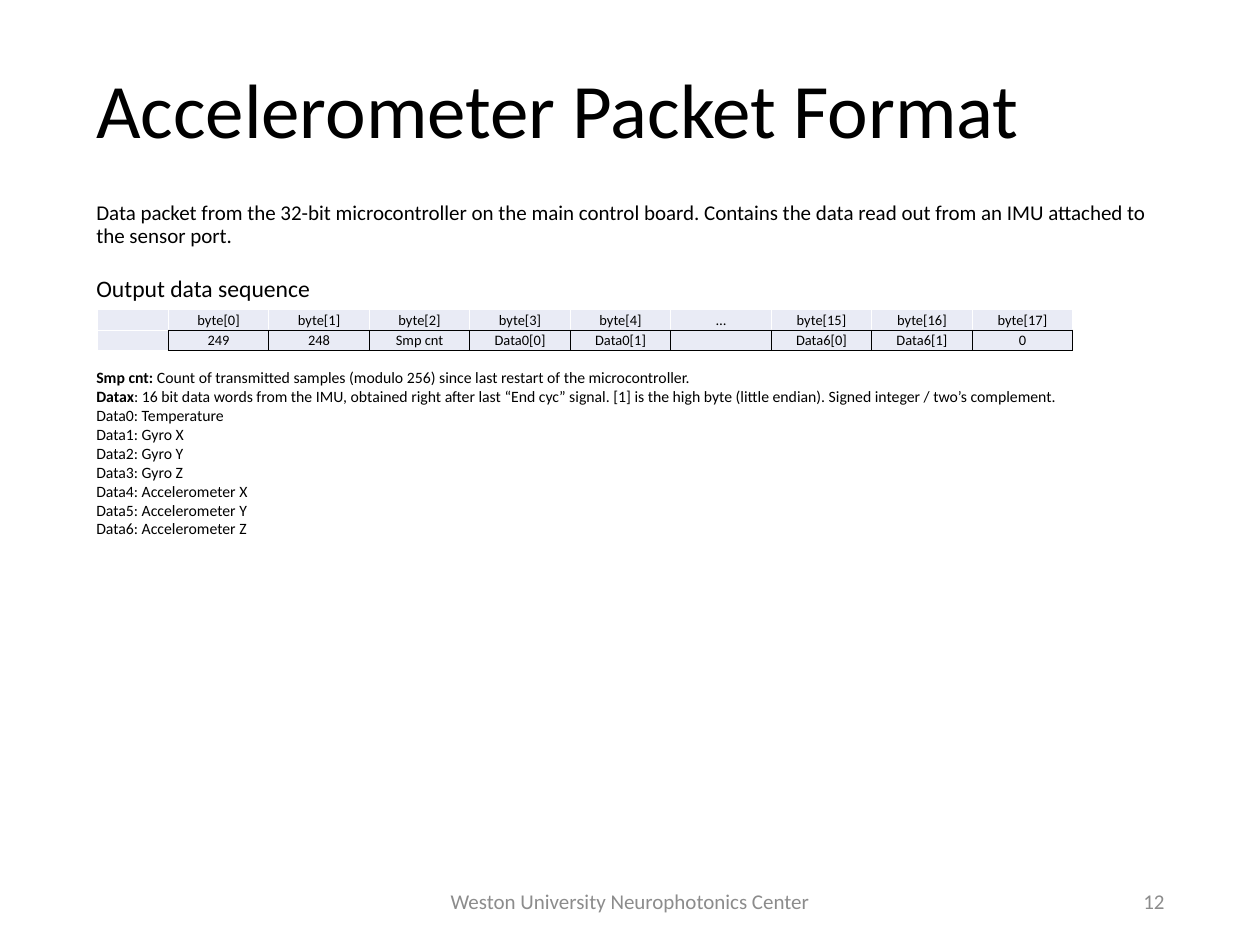
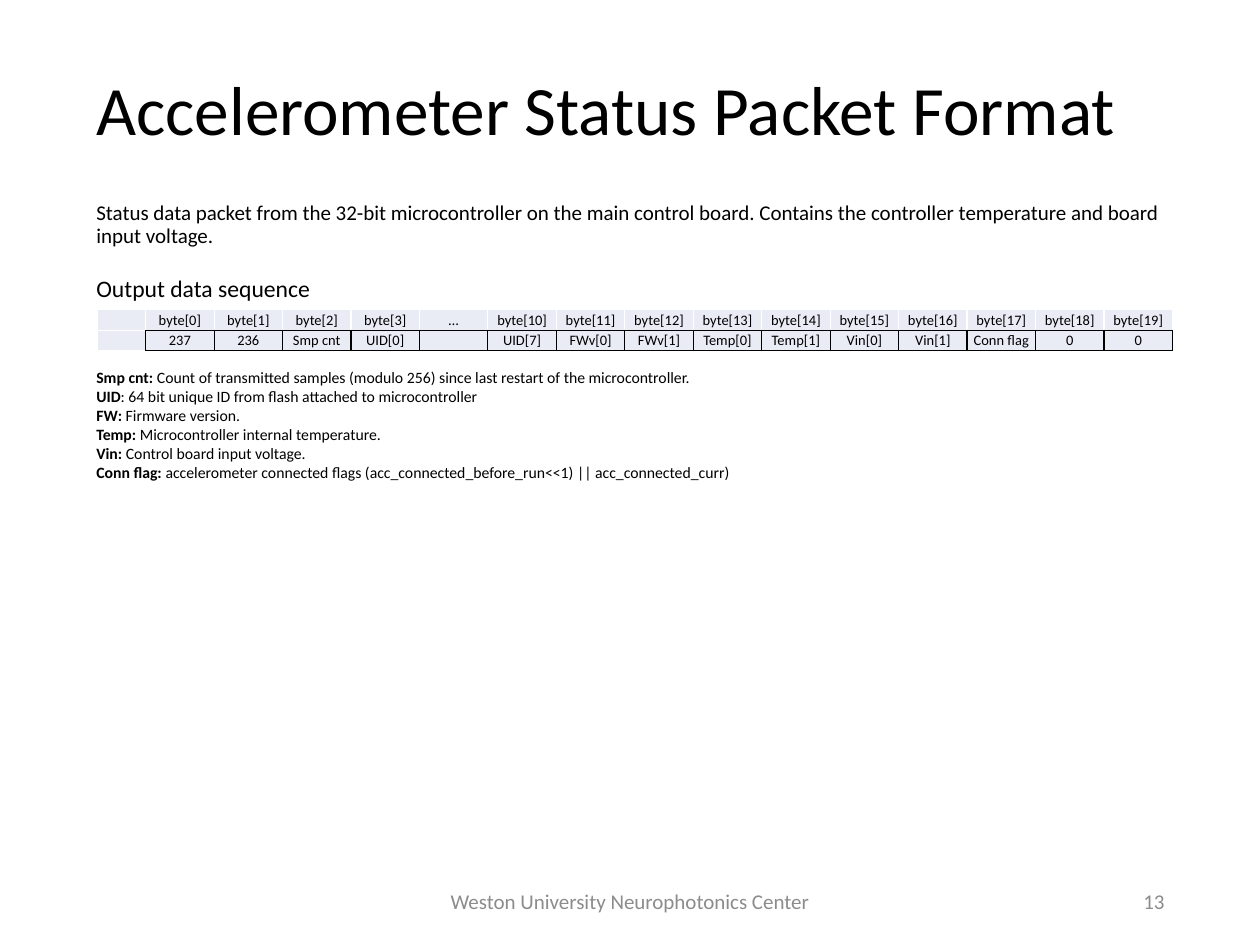
import dataclasses

import lxml.etree
import pptx
import pptx.dml.color
import pptx.enum.text
import pptx.oxml.ns
import pptx.util

Pt = pptx.util.Pt
Align = pptx.enum.text.PP_ALIGN
Anchor = pptx.enum.text.MSO_ANCHOR


@dataclasses.dataclass(frozen=True)
class Theme:
    font: str = "Calibri"
    ink: str = "000000"
    gray: str = "8C8C8C"
    white: str = "FFFFFF"
    fill: str = "E9EBF5"
    lead: float = 16
    head: float = 18
    note: float = 12
    cell: float = 11
    rule: float = 1


@dataclasses.dataclass(frozen=True)
class Box:
    left: float
    top: float
    width: float
    height: float


THEME = Theme()
WIDTH, HEIGHT = 959.04, 719.28
PAGE = Box(66.24, 38.16, 827.28, 666.72)
FOOTER = "Weston University Neurophotonics Center"


def add_run(para, text, size, color=THEME.ink, bold=False):
    run = para.add_run()
    run.text = text
    run.font.name = THEME.font
    run.font.size = Pt(size)
    run.font.bold = bold
    run.font.color.rgb = pptx.dml.color.RGBColor.from_string(color)


def add_text(slide, box, lines, size, color=THEME.ink, align=Align.LEFT,
             anchor=Anchor.TOP, space=None):
    shape = slide.shapes.add_textbox(
        Pt(box.left), Pt(box.top), Pt(box.width), Pt(box.height))
    frame = shape.text_frame
    frame.word_wrap = True
    frame.vertical_anchor = anchor
    for index, line in enumerate(lines):
        para = frame.add_paragraph() if index else frame.paragraphs[0]
        para.alignment = align
        para.line_spacing = space
        for text, bold in line:
            add_run(para, text, size, color, bold)


def set_edge(cell, sides):
    props = cell._tc.get_or_add_tcPr()
    for index, (side, color) in enumerate(sides.items()):
        line = lxml.etree.Element(
            pptx.oxml.ns.qn("a:ln" + side), w=str(Pt(THEME.rule)))
        fill = lxml.etree.SubElement(line, pptx.oxml.ns.qn("a:solidFill"))
        lxml.etree.SubElement(fill, pptx.oxml.ns.qn("a:srgbClr"), val=color)
        props.insert(index, line)


def fill_cell(cell, text):
    cell.fill.solid()
    cell.fill.fore_color.rgb = pptx.dml.color.RGBColor.from_string(THEME.fill)
    cell.vertical_anchor = Anchor.MIDDLE
    cell.margin_left = cell.margin_right = cell.margin_top = Pt(0.72)
    cell.margin_bottom = 0
    para = cell.text_frame.paragraphs[0]
    para.alignment = Align.CENTER
    if text:
        add_run(para, text, THEME.cell)
    else:
        lxml.etree.SubElement(para._p, pptx.oxml.ns.qn("a:endParaRPr"),
                              sz=str(int(THEME.cell * 100)))


def add_bytes(slide, box, first, pairs):
    rows = list(zip(("", ""), *pairs))
    count = len(pairs)
    table = slide.shapes.add_table(
        2, count + 1, Pt(box.left), Pt(box.top),
        Pt(box.width), Pt(box.height)).table
    table.first_row = table.horz_banding = False
    for index, col in enumerate(table.columns):
        col.width = Pt((box.width - first) / count if index else first)
    for r, row in enumerate(rows):
        table.rows[r].height = Pt(box.height / 2)
        for c, text in enumerate(row):
            cell = table.cell(r, c)
            fill_cell(cell, text)
            sides = dict.fromkeys("LRTB", THEME.white)
            if r and c:
                sides = dict.fromkeys("LRTB", THEME.ink)
            elif r:
                sides["R"] = THEME.ink
            elif c:
                sides["B"] = THEME.ink
            set_edge(cell, sides)


def add_foot(slide, box, number):
    mid = Box(box.left + 251.28, box.top, 324, box.height)
    end = Box(box.left + box.width - 216, box.top, 216, box.height)
    for part, text, align in ((mid, FOOTER, Align.CENTER),
                              (end, str(number), Align.RIGHT)):
        add_text(slide, part, [[(text, False)]], THEME.lead, THEME.gray,
                 align, Anchor.MIDDLE)


def add_page(deck, box, page):
    slide = deck.slides.add_slide(deck.slide_layouts[6])
    left, top, width = box.left, box.top, box.width
    add_text(slide, Box(left, top, width, 96.48), [[(page["title"], False)]],
             page["size"], anchor=Anchor.MIDDLE, space=0.9)
    add_text(slide, Box(left, top + 112.32, width, 48.24),
             [[(page["lead"], False)]], THEME.lead, space=0.9)
    add_text(slide, Box(left, top + 167.04, 313.92, 28.8),
             [[("Output data sequence", False)]], THEME.head)
    add_bytes(slide, Box(left + 7.92, top + 197.28, page["width"], 31.68),
              page["first"], page["bytes"])
    tall = len(page["notes"]) * 14.6 + 7.2
    add_text(slide, Box(left, top + 238.32, 765.36, tall),
             page["notes"], THEME.note)
    add_foot(slide, Box(left, top + box.height - 38.16, width, 38.16),
             page["number"])


def note(label, text):
    return [(label, True), (text, False)]


COUNT = note("Smp cnt: ", "Count of transmitted samples (modulo 256) "
             "since last restart of the microcontroller.")
WORDS = ["Temperature"] + [
    f"{part} {axis}" for part in ("Gyro", "Accelerometer") for axis in "XYZ"]

PAGES = [
    {
        "title": "Accelerometer Packet Format",
        "size": 58.6,
        "number": 12,
        "lead": "Data packet from the 32-bit microcontroller on the main "
                "control board. Contains the data read out from an IMU "
                "attached to the sensor port.",
        "width": 742.32,
        "first": 54,
        "bytes": [
            ("byte[0]", "249"), ("byte[1]", "248"), ("byte[2]", "Smp cnt"),
            ("byte[3]", "Data0[0]"), ("byte[4]", "Data0[1]"), ("…", ""),
            ("byte[15]", "Data6[0]"), ("byte[16]", "Data6[1]"),
            ("byte[17]", "0"),
        ],
        "notes": [
            COUNT,
            note("Datax", ": 16 bit data words from the IMU, obtained right "
                 "after last “End cyc” signal. [1] is the high byte (little "
                 "endian). Signed integer / two’s complement."),
        ] + [[(f"Data{i}: {word}", False)] for i, word in enumerate(WORDS)],
    },
    {
        "title": "Accelerometer Status Packet Format",
        "size": 52.7,
        "number": 13,
        "lead": "Status data packet from the 32-bit microcontroller on the "
                "main control board. Contains the controller temperature and "
                "board input voltage.",
        "width": 818.64,
        "first": 36.72,
        "bytes": [
            ("byte[0]", "237"), ("byte[1]", "236"), ("byte[2]", "Smp cnt"),
            ("byte[3]", "UID[0]"), ("…", ""), ("byte[10]", "UID[7]"),
            ("byte[11]", "FWv[0]"), ("byte[12]", "FWv[1]"),
            ("byte[13]", "Temp[0]"), ("byte[14]", "Temp[1]"),
            ("byte[15]", "Vin[0]"), ("byte[16]", "Vin[1]"),
            ("byte[17]", "Conn flag"), ("byte[18]", "0"), ("byte[19]", "0"),
        ],
        "notes": [
            COUNT,
            note("UID", ": 64 bit unique ID from flash attached to "
                 "microcontroller"),
            note("FW: ", "Firmware version."),
            note("Temp: ", "Microcontroller internal temperature."),
            note("Vin: ", "Control board input voltage."),
            note("Conn flag: ", "accelerometer connected flags "
                 "(acc_connected_before_run<<1) || acc_connected_curr)"),
        ],
    },
]


def main():
    deck = pptx.Presentation()
    deck.slide_width, deck.slide_height = Pt(WIDTH), Pt(HEIGHT)
    for page in PAGES:
        add_page(deck, PAGE, page)
    deck.save("out.pptx")


if __name__ == "__main__":
    main()
